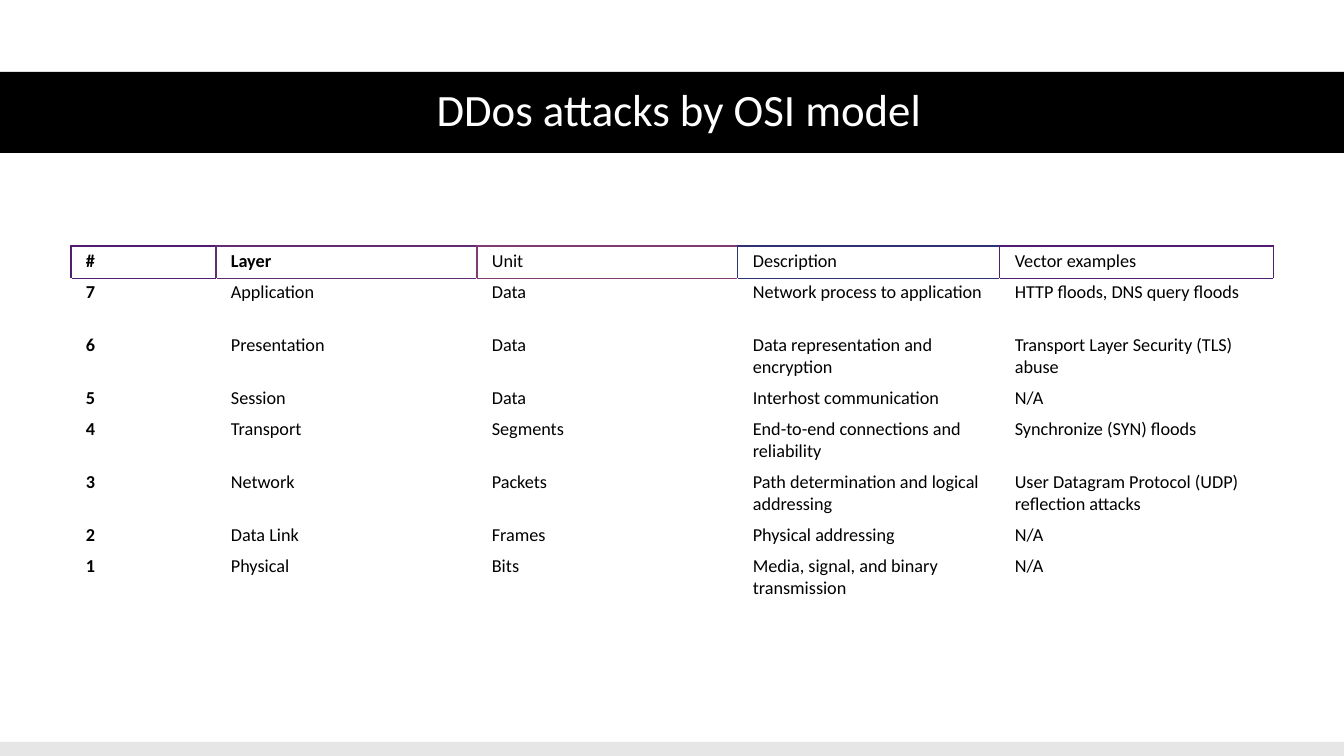
"""Build a slide with a table of DDoS attack vectors by OSI layer."""
from lxml import etree
from pptx import Presentation, util as u
from pptx.dml.color import RGBColor
from pptx.enum import shapes, text
from pptx.oxml import ns

PX = 914400 / 100.8
WHITE = "FFFFFF"
BLACK = "000000"


def px(length):
    return u.Emu(round(length * PX))


def paint(colour_format, colour):
    colour_format.rgb = RGBColor.from_string(colour)


presentation = Presentation()
presentation.slide_width = px(1344)
presentation.slide_height = px(756)
slide = presentation.slides.add_slide(presentation.slide_layouts[5])

for top, height, colour in [(742, 14, "E7E6E6"), (72, 81, BLACK)]:
    band = slide.shapes.add_shape(
        shapes.MSO_SHAPE.RECTANGLE, 0, px(top), px(1344), px(height))
    band.shadow.inherit = False
    band.fill.solid()
    paint(band.fill.fore_color, colour)
    band.line.fill.background()

title = slide.shapes.title
title.element.getparent().append(title.element)
title.left, title.top, title.width, title.height = px(61), px(71), px(1236), px(81)
title.text_frame.text = "DDos attacks by OSI model"
title.text_frame.auto_size = text.MSO_AUTO_SIZE.NONE
title.text_frame.vertical_anchor = text.MSO_ANCHOR.MIDDLE
paragraph = title.text_frame.paragraphs[0]
paragraph.alignment = text.PP_ALIGN.CENTER
paragraph.line_spacing = 0.9
title_font = paragraph.runs[0].font
title_font.name = "Calibri"
title_font.size = u.Pt(32)
paint(title_font.color, WHITE)

rows = [
    ("#", "Layer", "Unit", "Description", "Vector examples"),
    ("7", "Application", "Data", "Network process to application",
     "HTTP floods, DNS query floods"),
    ("6", "Presentation", "Data", "Data representation and encryption",
     "Transport Layer Security (TLS) abuse"),
    ("5", "Session", "Data", "Interhost communication", "N/A"),
    ("4", "Transport", "Segments", "End-to-end connections and reliability",
     "Synchronize (SYN) floods"),
    ("3", "Network", "Packets", "Path determination and logical addressing",
     "User Datagram Protocol (UDP) reflection attacks"),
    ("2", "Data Link", "Frames", "Physical addressing", "N/A"),
    ("1", "Physical", "Bits", "Media, signal, and binary transmission", "N/A"),
]
column_widths = [145, 261, 261, 262, 274]
row_heights = [32, 53, 53, 31, 53, 53, 31, 53]
header_colours = ["501D71", "602E71", "803B71", "303371", "501D71"]
last_column = len(column_widths) - 1

table = slide.shapes.add_table(
    len(rows), len(column_widths), px(71), px(246),
    px(sum(column_widths)), px(sum(row_heights))).table
table.first_row = False
table.horz_banding = False
for column, width in zip(table.columns, column_widths):
    column.width = px(width)

for row_index, (labels, height) in enumerate(zip(rows, row_heights)):
    table.rows[row_index].height = px(height)
    is_header = row_index == 0
    for column_index, label in enumerate(labels):
        cell = table.cell(row_index, column_index)
        cell.text_frame.text = label
        cell.margin_left = cell.margin_right = px(15)
        cell.margin_top = cell.margin_bottom = px(4 if is_header else 3)
        font = cell.text_frame.paragraphs[0].runs[0].font
        font.name = "Calibri"
        font.size = u.Pt(13)
        font.bold = column_index == 0 or (is_header and column_index == 1)
        paint(font.color, BLACK)

        own = header_colours[column_index]
        if is_header:
            following = header_colours[min(column_index + 1, last_column)]
            right_width = 0.75 if column_index == last_column else 1
            borders = [("L", own, 1), ("R", following, right_width),
                       ("T", own, 1), ("B", own, 0.75)]
        else:
            top_colour = own if row_index == 1 else WHITE
            borders = [("L", WHITE, 0.75), ("R", WHITE, 0.75),
                       ("T", top_colour, 0.75), ("B", WHITE, 0.75)]
        properties = cell._tc.get_or_add_tcPr()
        for side, colour, width in borders:
            border = etree.SubElement(
                properties, ns.qn(f"a:ln{side}"), w=str(u.Pt(width)))
            fill = etree.SubElement(border, ns.qn("a:solidFill"))
            etree.SubElement(fill, ns.qn("a:srgbClr"), val=colour)
        cell.fill.solid()
        paint(cell.fill.fore_color, WHITE)

presentation.save("out.pptx")
